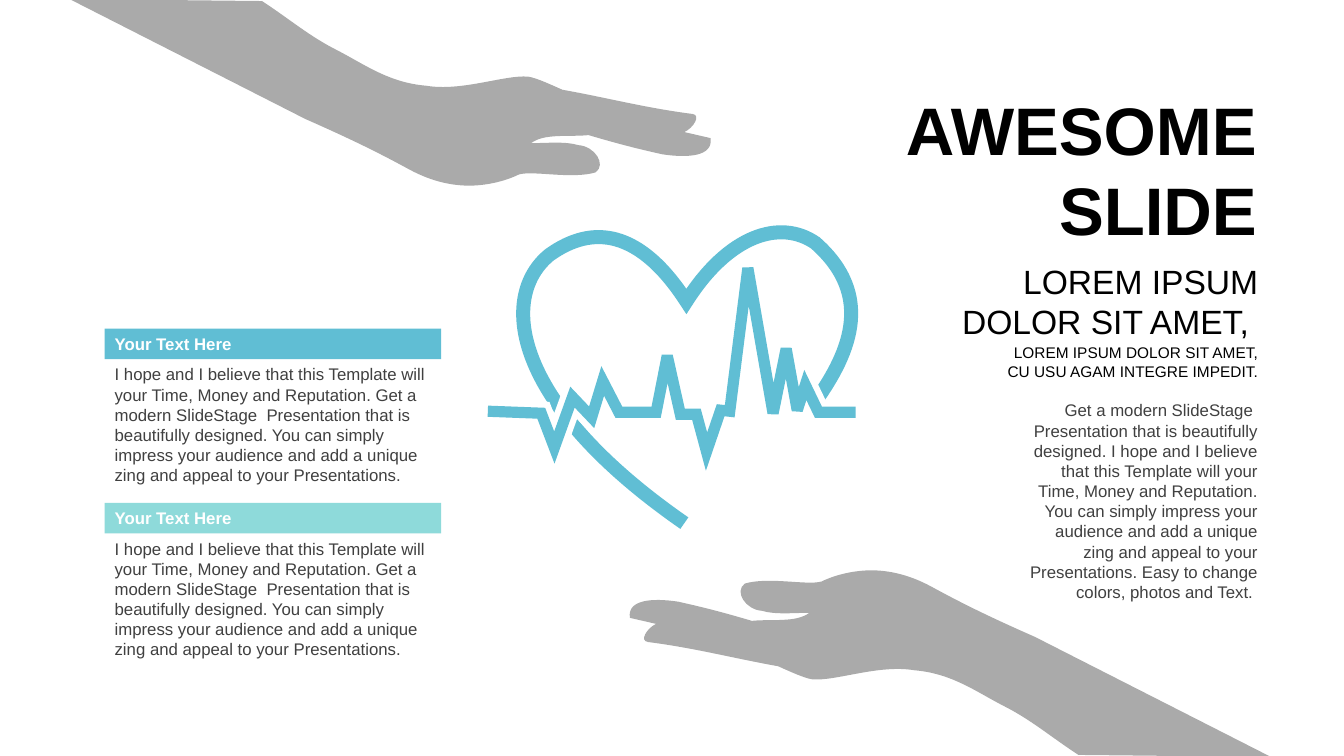
from dataclasses import dataclass

from lxml.etree import SubElement
from pptx import Presentation
from pptx.dml.color import RGBColor as Rgb
from pptx.enum.shapes import MSO_SHAPE as Preset
from pptx.enum.text import MSO_ANCHOR as Anchor, MSO_AUTO_SIZE as AutoSize, PP_ALIGN as Align
from pptx.oxml.ns import qn
from pptx.util import Cm, Pt


@dataclass(frozen=True)
class Theme:
    font: str = "Arial"
    blue: Rgb = Rgb(0x60, 0xBE, 0xD4)
    mint: Rgb = Rgb(0x8E, 0xDA, 0xDA)
    gray: Rgb = Rgb(0xAA, 0xAA, 0xAA)
    white: Rgb = Rgb(0xFF, 0xFF, 0xFF)
    black: Rgb = Rgb(0, 0, 0)
    body: Rgb = Rgb(0x40, 0x40, 0x40)
    title_size: int = 48
    headline_size: int = 24
    body_size: int = 12
    small_size: int = 11


THEME = Theme()
GRID = Cm(2.54) / 100  # unit of the outlines below
CURVE_STEPS = 16  # samples that measure how far a curve reaches

# Outlines: a pair is a straight step, six numbers are a cubic curve
HEART = [
    (679, 519), (506, 399, 495, 294, 545, 253), (588, 222, 635, 228, 681, 299),
    (723, 233, 774, 217, 809, 241), (869, 294, 843, 353, 804, 405),
]
PULSE = [
    (484, 408), (537, 410), (550, 444), (568, 394), (587, 414), (598, 378), (614, 409),
    (651, 409), (662, 353), (675, 411), (691, 411), (701, 448), (715, 407), (724, 408),
    (742, 266), (767, 410), (780, 346), (791, 407), (799, 382), (812, 409), (849, 409),
]
HAND = [
    (859, 566), (878, 565, 900, 569, 924, 582), (957, 600, 984, 613, 1027, 632),
    (1261, 751), (1070, 749), (1041, 730, 1023, 714, 995, 700),
    (968, 686, 944, 668, 907, 665), (872, 659, 829, 676, 806, 674),
    (798, 673, 781, 665, 772, 661), (727, 653, 690, 643, 643, 637),
    (634, 636, 642, 623, 651, 619), (625, 613), (622, 595, 647, 593, 673, 597),
    (700, 603, 719, 608, 746, 616), (765, 614, 790, 618, 803, 608),
    (787, 608, 769, 610, 756, 606), (740, 605, 728, 587, 739, 579),
    (763, 572, 800, 581, 815, 577), (825, 572, 841, 567, 859, 566),
]

CARD_TEXT = (
    "I hope and I believe that this Template will your Time, Money and Reputation. "
    "Get a modern SlideStage  Presentation that is beautifully designed. You can simply "
    "impress your audience and add a unique zing and appeal to your Presentations."
)
STORY_TEXT = (
    "Get a modern SlideStage  Presentation that is beautifully designed. I hope and I "
    "believe that this Template will your Time, Money and Reputation. You can simply "
    "impress your audience and add a unique zing and appeal to your Presentations. "
    "Easy to change colors, photos and Text. "
)


def outline_points(steps):
    """Sample the steps, so that the shape gets its true extents."""
    points = [steps[0]]
    for step in steps[1:]:
        if len(step) == 2:
            points.append(step)
            continue
        controls = [points[-1], step[:2], step[2:4], step[4:]]
        for index in range(1, CURVE_STEPS + 1):
            t = index / CURVE_STEPS
            weights = ((1 - t) ** 3, 3 * t * (1 - t) ** 2, 3 * t * t * (1 - t), t ** 3)
            points.append(tuple(
                sum(weight * control[axis] for weight, control in zip(weights, controls))
                for axis in (0, 1)
            ))
    return [(x * GRID, y * GRID) for x, y in points]


def draw_steps(shape, steps, closed):
    """Give the shape's outline its straight and curved steps."""
    outline = next(shape.element.iter(qn("a:path")))
    for child in list(outline):
        outline.remove(child)
    for index, step in enumerate(steps):
        tag = "a:cubicBezTo" if len(step) == 6 else "a:lnTo" if index else "a:moveTo"
        command = SubElement(outline, qn(tag))
        for x, y in zip(step[::2], step[1::2]):
            SubElement(command, qn("a:pt"), x=str(round(x * GRID) - shape.left),
                       y=str(round(y * GRID) - shape.top))
    if closed:
        SubElement(outline, qn("a:close"))


def add_outline(shapes, steps, closed=False):
    start, *rest = outline_points(steps)
    builder = shapes.build_freeform(*start)
    builder.add_line_segments(rest, close=closed)
    shape = builder.convert_to_shape()
    shape.shadow.inherit = False
    draw_steps(shape, steps, closed)
    return shape


def add_stroke(shapes, steps, color, width):
    shape = add_outline(shapes, steps)
    shape.fill.background()
    shape.line.color.rgb = color
    shape.line.width = Pt(width)
    # Pointed corners
    SubElement(shape.element.spPr.find(qn("a:ln")), qn("a:miter"), lim="800000")


def add_hand(shapes):
    shape = add_outline(shapes, HAND, closed=True)
    shape.fill.solid()
    shape.fill.fore_color.rgb = THEME.gray
    shape.line.fill.background()
    return shape


def write_text(shape, lines, size, color, align=Align.LEFT, bold=False, anchor=Anchor.TOP):
    frame = shape.text_frame
    frame.word_wrap = True
    frame.auto_size = AutoSize.SHAPE_TO_FIT_TEXT
    frame.vertical_anchor = anchor
    for index, line in enumerate(lines):
        paragraph = frame.add_paragraph() if index else frame.paragraphs[0]
        paragraph.alignment = align
        run = paragraph.add_run()
        run.text = line
        run.font.name = THEME.font
        run.font.size = Pt(size)
        run.font.bold = bold
        run.font.color.rgb = color


def add_text(shapes, left, top, width, height, lines, size, color, **style):
    box = shapes.add_textbox(Cm(left), Cm(top), Cm(width), Cm(height))
    write_text(box, lines, size, color, **style)


def add_card(slide, top, color):
    shapes = slide.shapes.add_group_shape().shapes
    left, bar_height = 2.64, 0.77
    add_text(shapes, left, top + bar_height, 8.56, 3.33, [CARD_TEXT],
             THEME.body_size, THEME.body)
    bar = shapes.add_shape(Preset.RECTANGLE, Cm(left), Cm(top), Cm(8.48), Cm(bar_height))
    bar.shadow.inherit = False
    bar.fill.solid()
    bar.fill.fore_color.rgb = color
    bar.line.fill.background()
    write_text(bar, ["Your Text Here"], THEME.body_size, THEME.white, bold=True)


def set_title(slide):
    title = slide.shapes.title
    title.left, title.top, title.width, title.height = Cm(22.02), Cm(2.06), Cm(9.91), Cm(4.37)
    write_text(title, ["AWESOME", "SLIDE"], THEME.title_size, THEME.black,
               align=Align.RIGHT, bold=True, anchor=Anchor.MIDDLE)


def main():
    presentation = Presentation()
    presentation.slide_width, presentation.slide_height = Cm(33.87), Cm(19.05)
    slide = presentation.slides.add_slide(presentation.slide_layouts[5])
    shapes = slide.shapes
    set_title(slide)

    # Heart crossed by a pulse with a white edge
    heart_shapes = shapes.add_group_shape().shapes
    add_stroke(heart_shapes, HEART, THEME.blue, 10)
    add_stroke(heart_shapes, PULSE, THEME.white, 16.75)
    add_stroke(heart_shapes, PULSE, THEME.blue, 8)

    # Text cards on the left
    add_card(slide, 8.28, THEME.blue)
    add_card(slide, 12.67, THEME.mint)

    # Hands, the upper one turned by half about the middle
    lower_hand, upper_hand = add_hand(shapes), add_hand(shapes)
    upper_hand.rotation = 180
    upper_hand.left = Cm(33.78) - lower_hand.left - lower_hand.width
    upper_hand.top = Cm(19.05) - lower_hand.top - lower_hand.height

    # Text column on the right
    add_text(shapes, 23.6, 6.43, 8.36, 2.31, ["LOREM IPSUM", "DOLOR SIT AMET, "],
             THEME.headline_size, THEME.black, align=Align.RIGHT, anchor=Anchor.MIDDLE)
    add_text(shapes, 23.6, 8.53, 8.36, 1.19,
             ["LOREM IPSUM DOLOR SIT AMET,", "CU USU AGAM INTEGRE IMPEDIT."],
             THEME.small_size, THEME.black, align=Align.RIGHT, anchor=Anchor.MIDDLE)
    add_text(shapes, 25.57, 9.96, 6.38, 5.38, [STORY_TEXT],
             THEME.body_size, THEME.body, align=Align.RIGHT)

    presentation.save("out.pptx")


if __name__ == "__main__":
    main()
